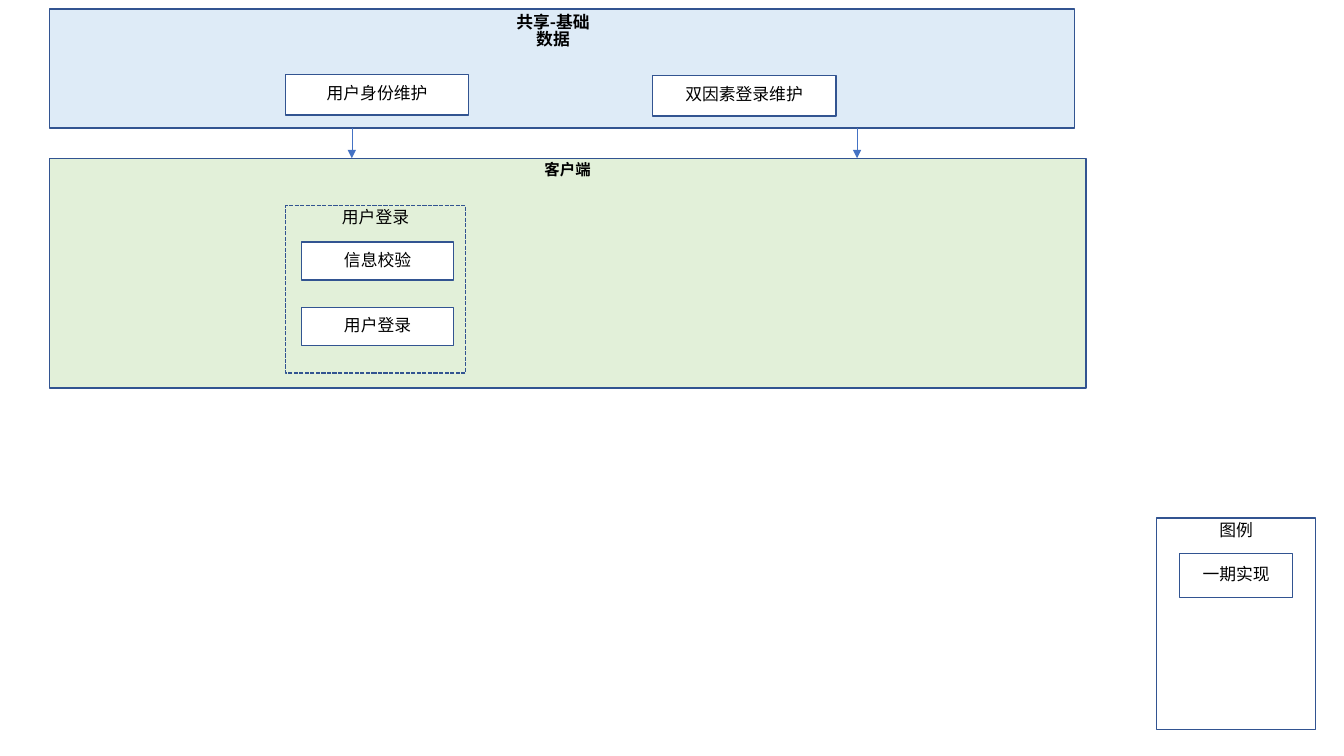
"""Build the login architecture slide with its shared data, client and legend."""
from lxml.etree import SubElement
from pptx import Presentation
from pptx.dml.color import RGBColor
from pptx.enum.dml import MSO_LINE
from pptx.enum.shapes import MSO_CONNECTOR, MSO_SHAPE
from pptx.enum.text import MSO_ANCHOR, PP_ALIGN
from pptx.oxml.ns import qn
from pptx.util import Inches, Pt

FONT = "Noto Sans CJK SC"
WHITE, GREEN, BLUE = "FFFFFF", "E2F0D9", "DEEBF7"
TOP, MID = MSO_ANCHOR.TOP, MSO_ANCHOR.MIDDLE


def color(code):
    return RGBColor.from_string(code)


def label(shape, text, anchor, size=12, bold=False):
    frame = shape.text_frame
    frame.text = text
    frame.word_wrap = True
    frame.vertical_anchor = anchor
    line = frame.paragraphs[0]
    line.alignment = PP_ALIGN.CENTER
    line.line_spacing = 0.83
    for run in line.runs:
        run.font.name = FONT
        run.font.size = Pt(size)
        run.font.bold = bold
        run.font.color.rgb = color("000000")
        SubElement(run.font._element, qn("a:ea"), typeface=FONT)


deck = Presentation()
deck.slide_width, deck.slide_height = Inches(13.33), Inches(7.5)
slide = deck.slides.add_slide(deck.slide_layouts[6])
shapes = slide.shapes

boxes = [
    ("图例", 11.47, 5.14, 1.58, 2.1, WHITE, TOP),
    ("一期实现", 11.7, 5.49, 1.12, 0.44, None, MID),
    ("客户端", 0.49, 1.57, 10.28, 2.28, GREEN, TOP),
    ("用户登录", 2.83, 2.04, 1.79, 1.66, None, TOP),
    ("信息校验", 2.99, 2.4, 1.51, 0.38, WHITE, MID),
    ("用户登录", 2.99, 3.05, 1.51, 0.38, WHITE, MID),
    ("", 0.49, 0.09, 10.17, 1.18, BLUE, MID),
    ("双因素登录维护", 6.47, 0.75, 1.82, 0.4, WHITE, MID),
    ("用户身份维护", 2.83, 0.74, 1.82, 0.4, WHITE, MID),
]
for text, left, top, width, height, fill, anchor in boxes:
    box = shapes.add_shape(MSO_SHAPE.RECTANGLE, Inches(left), Inches(top),
                           Inches(width), Inches(height))
    box.shadow.inherit = False
    if fill:
        box.fill.solid()
        box.fill.fore_color.rgb = color(fill)
    else:
        box.fill.background()
    box.line.color.rgb = color("325491")
    box.line.width = Pt(1)
    if text == "用户登录" and anchor == TOP:
        box.line.dash_style = MSO_LINE.SQUARE_DOT
    client = fill == GREEN
    if text:
        label(box, text, anchor, 11 if client else 12, client)

title = shapes.add_textbox(Inches(4.94), Inches(0.12), Inches(1.09), Inches(0.4))
label(title, "共享-基础数据", MID, bold=True)

for x in (3.49, 8.5):
    arrow = shapes.add_connector(MSO_CONNECTOR.STRAIGHT, Inches(x), Inches(1.27),
                                 Inches(x), Inches(1.57))
    arrow.line.color.rgb = color("4472C4")
    arrow.line.width = Pt(0.5)
    SubElement(arrow.line._get_or_add_ln(), qn("a:tailEnd"), type="triangle")
    SubElement(arrow._element.spPr, qn("a:effectLst"))

deck.save("out.pptx")
